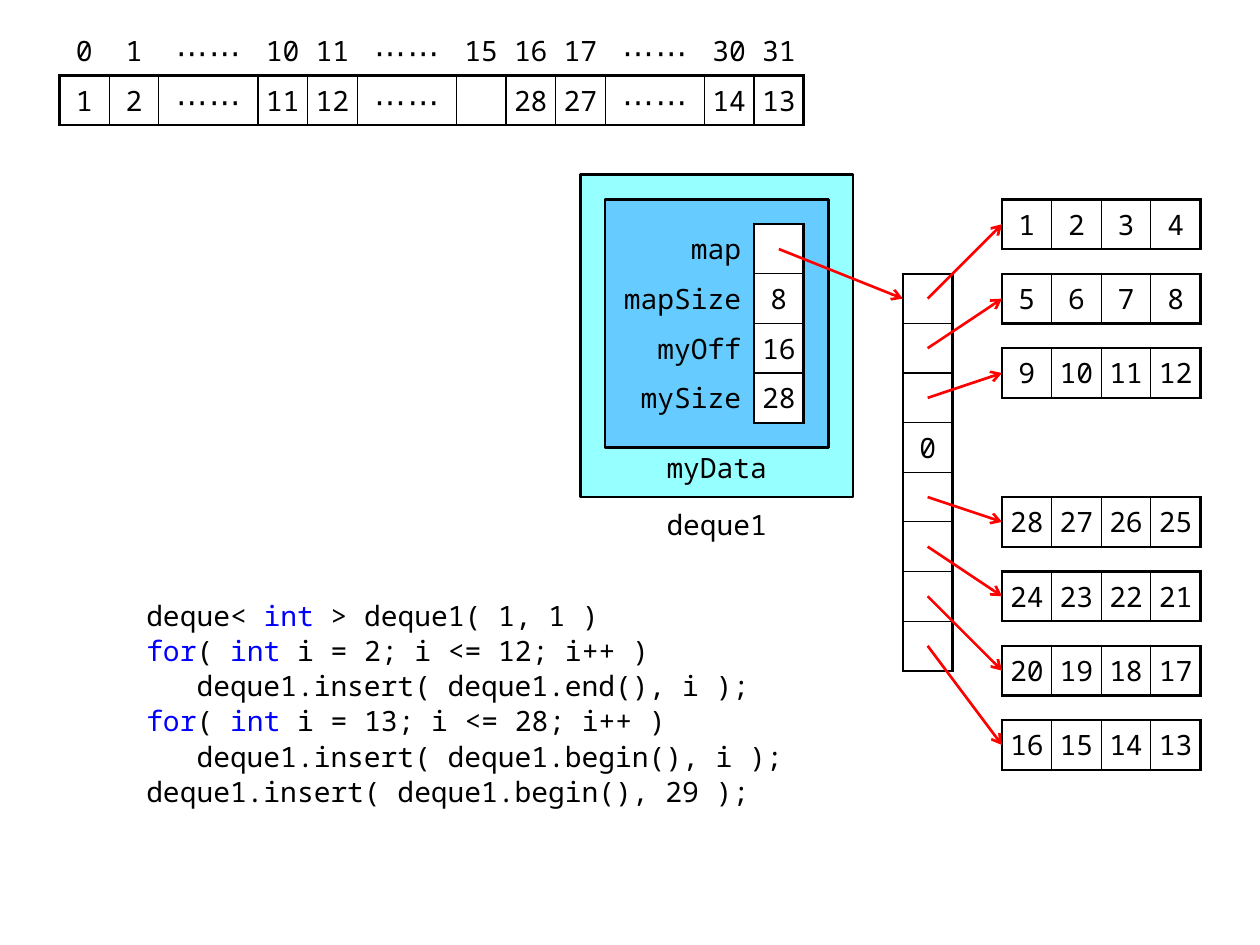
from lxml.etree import SubElement
from pptx import Presentation
from pptx.dml.color import RGBColor
from pptx.enum.shapes import MSO_CONNECTOR, MSO_SHAPE
from pptx.enum.text import MSO_ANCHOR, PP_ALIGN
from pptx.oxml.ns import qn
from pptx.util import Inches, Pt

PX = 7200  # EMU, so that 25 px make 5 mm
CELL = 50
FONT = "Noto Sans Mono"
BLACK, WHITE, RED, BLUE = "000000", "FFFFFF", "FF0000", "0000FF"
THICK, THIN = 1.5, 0.75
DOTS = "⋯⋯"

CODE = [
    [("deque< ", BLACK), ("int", BLUE), (" > deque1( 1, 1 )", BLACK)],
    [("for", BLUE), ("( ", BLACK), ("int", BLUE), (" i = 2; i <= 12; i++ )", BLACK)],
    [("   deque1.insert( deque1.end(), i );", BLACK)],
    [("for", BLUE), ("( ", BLACK), ("int", BLUE), (" i = 13; i <= 28; i++ )", BLACK)],
    [("   deque1.insert( deque1.begin(), i );", BLACK)],
    [("deque1.insert( deque1.begin(), 29 );", BLACK)],
]


def px(*lengths):
    return [length * PX for length in lengths]


def color(value):
    return RGBColor.from_string(value)


def add_span(para, text, value=BLACK, size=16):
    span = para.add_run()
    span.text = text
    span.font.name = FONT
    span.font.size = Pt(size)
    span.font.color.rgb = color(value)
    return span


def set_margins(target, left, top, right, bottom):
    """Set the margins of a cell or a text frame."""
    (target.margin_left, target.margin_top,
     target.margin_right, target.margin_bottom) = px(left, top, right, bottom)


def set_borders(cell, widths):
    """Draw the left, right, top and bottom borders; a width of 0 hides one."""
    properties = cell._tc.get_or_add_tcPr()
    for index, (tag, width) in enumerate(zip(("a:lnL", "a:lnR", "a:lnT", "a:lnB"), widths)):
        border = properties.makeelement(qn(tag), {"w": str(Pt(width))})
        properties.insert(index, border)
        if width:
            fill = SubElement(border, qn("a:solidFill"))
            SubElement(fill, qn("a:srgbClr"), val=BLACK)
        else:
            SubElement(border, qn("a:noFill"))


def fill_cell(cell, text, align, side_margin):
    cell.vertical_anchor = MSO_ANCHOR.MIDDLE
    set_margins(cell, side_margin, 5, side_margin, 5)
    para = cell.text_frame.paragraphs[0]
    para.alignment = align
    if text == DOTS:
        for dots, spacing in zip(text, ("100", "0")):
            add_span(para, dots, size=18)._r.get_or_add_rPr().set("spc", spacing)
    elif text:
        add_span(para, text)
    else:
        SubElement(para._p, qn("a:endParaRPr"), sz="1600")


def add_grid(slide, left, top, rows, widths, first_row=0, first_column=0):
    """Add a table whose frame starts at the given row and column; the rest are labels."""
    frame = slide.shapes.add_table(
        len(rows), len(widths), *px(left, top, sum(widths), CELL * len(rows)))
    table = frame.table
    table.first_row = table.horz_banding = False
    for column, width in zip(table.columns, widths):
        column.width = width * PX
    last_row, last_column = len(rows) - 1, len(widths) - 1
    for y, row in enumerate(rows):
        for x, text in enumerate(row):
            cell = table.cell(y, x)
            is_label = x < first_column
            fill_cell(cell, text, PP_ALIGN.RIGHT if is_label else PP_ALIGN.CENTER,
                      13 if is_label else 5)
            if is_label or y < first_row:
                cell.fill.background()
                set_borders(cell, (
                    0,
                    THICK if x == first_column - 1 else 0,
                    0,
                    THICK if y == first_row - 1 else 0,
                ))
            else:
                cell.fill.solid()
                cell.fill.fore_color.rgb = color(WHITE)
                set_borders(cell, (
                    THICK if x == first_column else THIN,
                    THICK if x == last_column else THIN,
                    THICK if y == first_row else THIN,
                    THICK if y == last_row else THIN,
                ))


def add_arrow(slide, start, end):
    arrow = slide.shapes.add_connector(MSO_CONNECTOR.STRAIGHT, *px(*start, *end))
    arrow.line.color.rgb = color(RED)
    arrow.line.width = Pt(THICK)
    SubElement(arrow.line._get_or_add_ln(), qn("a:tailEnd"), type="arrow")
    SubElement(arrow._element.spPr, qn("a:effectLst"))


def add_panel(slide, box, fill):
    panel = slide.shapes.add_shape(MSO_SHAPE.FLOWCHART_PROCESS, *px(*box))
    panel.shadow.inherit = False
    panel.fill.solid()
    panel.fill.fore_color.rgb = color(fill)
    panel.line.color.rgb = color(BLACK)
    panel.line.width = Pt(THICK)


def add_caption(slide, box, text, anchor, top_margin):
    frame = slide.shapes.add_textbox(*px(*box)).text_frame
    frame.word_wrap = True
    frame.vertical_anchor = anchor
    set_margins(frame, 10, top_margin, 10, 0)
    para = frame.paragraphs[0]
    para.alignment = PP_ALIGN.CENTER
    add_span(para, text)


def add_sequence(slide, left, top):
    """Add the flat view of all slots, with their indexes above."""
    indexes = ["0", "1", DOTS, "10", "11", DOTS, "15", "16", "17", DOTS, "30", "31"]
    values = ["1", "2", DOTS, "11", "12", DOTS, "", "28", "27", DOTS, "14", "13"]
    widths = [2 * CELL if index == DOTS else CELL for index in indexes]
    add_grid(slide, left, top, [indexes, values], widths, first_row=1)


def add_deque(slide, left, top):
    """Add the deque object with its members."""
    add_panel(slide, (left, top, 275, 325), "96FFFF")
    add_panel(slide, (left + 25, top + 25, 225, 250), "66CCFF")
    add_caption(slide, (left + 50, top + 325, 175, CELL), "deque1", MSO_ANCHOR.MIDDLE, 5)
    add_caption(slide, (left + 75, top + 275, 125, CELL), "myData", MSO_ANCHOR.TOP, 3)
    members = [("map", ""), ("mapSize", "8"), ("myOff", "16"), ("mySize", "28")]
    add_grid(slide, left + 25, top + 50, members, [150, CELL], first_column=1)


def add_map(slide, left, top):
    """Add the map of pointers and the blocks they lead to."""
    map_top, block_left, block_step = top + 75, left + 100, 75
    empty_slot = 3
    slots = [["0" if slot == empty_slot else ""] for slot in range(8)]
    add_grid(slide, left, map_top, slots, [CELL])
    for slot in range(8):
        if slot == empty_slot:
            continue
        if slot < empty_slot:
            values = range(4 * slot + 1, 4 * slot + 5)
        else:
            values = range(44 - 4 * slot, 40 - 4 * slot, -1)
        block_top = top + block_step * slot
        add_grid(slide, block_left, block_top, [[str(value) for value in values]], [CELL] * 4)
        add_arrow(slide, (left + 25, map_top + 25 + CELL * slot), (block_left, block_top + 25))


def add_code(slide, box):
    frame = slide.shapes.add_textbox(*px(*box)).text_frame
    frame.word_wrap = True
    for index, line in enumerate(CODE):
        para = frame.add_paragraph() if index else frame.paragraphs[0]
        para.space_before = Pt(3 if index else 0)
        para.line_spacing = 0.89
        for text, value in line:
            add_span(para, text, value)


def main():
    deck = Presentation()
    deck.slide_width, deck.slide_height = Inches(10), Inches(7.5)
    page = deck.slides.add_slide(deck.slide_layouts[6])
    add_code(page, (135, 601, 675, 275))
    add_sequence(page, 60, 26)
    add_deque(page, 585, 176)
    add_map(page, 910, 201)
    add_arrow(page, (785, 251), (910, 301))
    deck.save("out.pptx")


if __name__ == "__main__":
    main()
